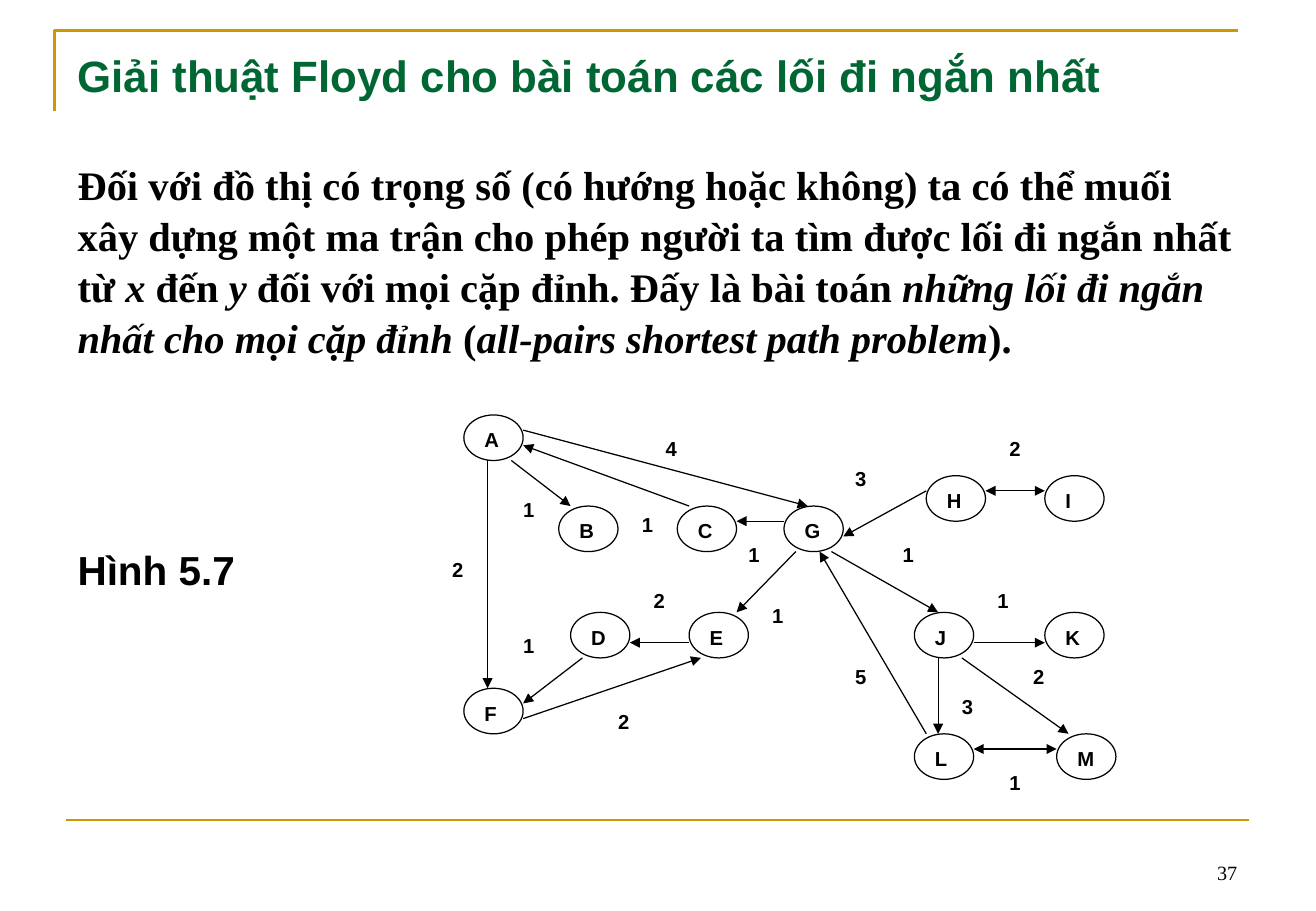
from lxml import etree
from pptx import Presentation
from pptx.dml.color import RGBColor
from pptx.enum.shapes import MSO_CONNECTOR, MSO_SHAPE
from pptx.enum.text import MSO_ANCHOR, PP_ALIGN
from pptx.oxml.ns import qn
from pptx.util import Inches, Pt

OVAL, RECTANGLE = MSO_SHAPE.OVAL, MSO_SHAPE.RECTANGLE
STRAIGHT = MSO_CONNECTOR.STRAIGHT
TOP, BOTTOM = MSO_ANCHOR.TOP, MSO_ANCHOR.BOTTOM
LEFT, RIGHT = PP_ALIGN.LEFT, PP_ALIGN.RIGHT

# Slide grid: 111 columns by 60 rows
WIDTH, HEIGHT = 10.84, 7.5
COLUMNS, ROWS = 111, 60
MARGIN, CONTENT_WIDTH = 5.53, 99.84
GRAPH_LEFT, GRAPH_TOP = 37.13, 27.33
NODE_WIDTH, NODE_HEIGHT = 5, 3

BLACK, WHITE, GOLD, GREEN = "000000", "FFFFFF", "CC9900", "006633"
TITLE = {"name": "Arial", "size": Pt(26), "bold": True, "color": GREEN}
BODY = {"name": "Times New Roman", "size": Pt(24), "bold": True, "color": BLACK}
CAPTION = {**BODY, "name": "Arial"}
LABEL = {**CAPTION, "size": Pt(12)}
NUMBER = {**BODY, "size": Pt(12), "bold": False}

# Text as (words, italic) spans
PROBLEM = [
    ("Đối với đồ thị có trọng số (có hướng hoặc không) ta có thể muối xây dựng "
     "một ma trận cho phép người ta tìm được lối đi ngắn nhất từ ", False),
    ("x", True), (" đến ", False), ("y", True),
    (" đối với mọi cặp đỉnh. Đấy là bài toán ", False),
    ("những lối đi ngắn nhất cho mọi cặp đỉnh", True), (" (", False),
    ("all-pairs shortest path problem", True), (").", False),
]

# Node corners, in cells from the corner of the graph
NODES = {
    "A": (2, 0), "B": (10, 6), "G": (29, 6), "C": (20, 6), "F": (2, 18),
    "D": (11, 13), "E": (21, 13), "L": (40, 21), "M": (52, 21),
    "K": (51, 13), "J": (40, 13), "I": (51, 4), "H": (41, 4),
}
# Edges: start node, offset in it, end node, offset in it, two-way
EDGES = [
    ("A", (2, 3), "F", (2, 0), False), ("A", (4, 3), "B", (1, 0), False),
    ("C", (1, 0), "A", (5, 2), False), ("A", (5, 1), "G", (2, 0), False),
    ("D", (1, 3), "F", (5, 1), False), ("E", (0, 2), "D", (5, 2), False),
    ("F", (5, 2), "E", (1, 3), False), ("G", (1, 3), "E", (4, 0), False),
    ("H", (5, 1), "I", (0, 1), True), ("J", (5, 2), "K", (0, 2), False),
    ("J", (2, 3), "L", (2, 0), False), ("L", (5, 1), "M", (0, 1), True),
    ("J", (4, 3), "M", (1, 0), False), ("G", (0, 1), "C", (5, 1), False),
    ("H", (0, 1), "G", (5, 2), False), ("G", (4, 3), "J", (2, 0), False),
    ("L", (1, 0), "G", (3, 3), False),
]
# Weights: value, column, row, width, height
WEIGHTS = [
    ("2", 47, 1, 3, 3), ("3", 34, 3, 3, 3), ("1", 25, 8, 3, 2),
    ("1", 46, 11, 4, 3), ("1", 27, 12, 4, 2), ("4", 18, 1, 4, 2),
    ("2", 0, 9, 3, 3), ("5", 34, 16, 3, 3), ("3", 43, 18, 3, 2),
    ("2", 49, 16, 3, 2), ("1", 47, 23, 3, 3), ("2", 17, 11, 3, 3),
    ("2", 14, 19, 4, 3), ("1", 6, 14, 3, 3), ("1", 38, 8, 3, 3),
    ("1", 16, 6, 3, 3), ("1", 6, 5, 3, 2),
]


def color(hex_code):
    return RGBColor.from_string(hex_code)


def in_graph(cell, offset=(0, 0)):
    return (GRAPH_LEFT + cell[0] + offset[0], GRAPH_TOP + cell[1] + offset[1])


class SlideBuilder:
    def __init__(self, deck):
        self.page = deck.slides.add_slide(deck.slide_layouts[6])
        self.page.background.fill.solid()
        self.page.background.fill.fore_color.rgb = color(WHITE)

    def point(self, column, row):
        return Inches(WIDTH * column / COLUMNS), Inches(HEIGHT * row / ROWS)

    def outline(self, line, hex_code, width):
        line.color.rgb = color(hex_code)
        line.width = Pt(width)

    def fill_text(self, box, spans, style, anchor=TOP, align=LEFT, spacing=1.0,
                  top_margin=0.05):
        frame = box.text_frame
        settings = {"word_wrap": True, "vertical_anchor": anchor,
                    "margin_left": Inches(0.1), "margin_right": Inches(0.1),
                    "margin_top": Inches(top_margin), "margin_bottom": Inches(0.05)}
        for name, value in settings.items():
            setattr(frame, name, value)
        para = frame.paragraphs[0]
        para.alignment = align
        para.line_spacing = spacing
        for words, italic in spans:
            span = para.add_run()
            span.text = words
            for name, value in {**style, "italic": italic}.items():
                if name == "color":
                    span.font.color.rgb = color(value)
                else:
                    setattr(span.font, name, value)

    def text(self, corner, size, spans, style, **layout):
        box = self.page.shapes.add_textbox(*self.point(*corner), *self.point(*size))
        self.fill_text(box, spans, style, **layout)

    def shape(self, kind, corner, size, label, outlined):
        box = self.page.shapes.add_shape(kind, *self.point(*corner), *self.point(*size))
        box.shadow.inherit = False
        box.fill.solid()
        box.fill.fore_color.rgb = color(WHITE)
        if outlined:
            self.outline(box.line, BLACK, 0.75)
        else:
            box.line.fill.background()
        self.fill_text(box, [(label, False)], LABEL)

    def line(self, start, end, hex_code, width, arrows=()):
        connector = self.page.shapes.add_connector(
            STRAIGHT, *self.point(*start), *self.point(*end))
        self.outline(connector.line, hex_code, width)
        properties = connector._element.spPr
        for arrow in arrows:
            etree.SubElement(properties.find(qn("a:ln")), qn(arrow), type="triangle")
        etree.SubElement(properties, qn("a:effectLst"))

    def open_outline(self, points, hex_code, width):
        first, *others = [self.point(*spot) for spot in points]
        builder = self.page.shapes.build_freeform(*first)
        builder.add_line_segments(others, close=False)
        corner = builder.convert_to_shape()
        corner.shadow.inherit = False
        corner.fill.background()
        self.outline(corner.line, hex_code, width)


def main():
    deck = Presentation()
    deck.slide_width, deck.slide_height = Inches(WIDTH), Inches(HEIGHT)
    slide = SlideBuilder(deck)

    # Frame and page number
    slide.open_outline([(4.61, 7.33), (4.61, 2), (104.44, 2)], GOLD, 1.5)
    slide.line((MARGIN, 54), (MARGIN + CONTENT_WIDTH, 54), GOLD, 1.5)
    slide.text((79.46, 54.67), (25.91, 4), [("37", False)], NUMBER,
               anchor=BOTTOM, align=RIGHT)

    # Title and problem statement
    slide.text((MARGIN, 2.4), (CONTENT_WIDTH, 3.44),
               [("Giải thuật Floyd cho bài toán các lối đi ngắn nhất", False)],
               TITLE, top_margin=0.1)
    slide.text((MARGIN, 10), (CONTENT_WIDTH, 13.6), PROBLEM, BODY, spacing=1.05)

    # Weighted graph
    for name, cell in NODES.items():
        slide.shape(OVAL, in_graph(cell), (NODE_WIDTH, NODE_HEIGHT), name, True)
    for start, leave, end, arrive, two_way in EDGES:
        arrows = ("a:headEnd", "a:tailEnd") if two_way else ("a:tailEnd",)
        slide.line(in_graph(NODES[start], leave), in_graph(NODES[end], arrive),
                   BLACK, 0.75, arrows)
    for value, column, row, width, height in WEIGHTS:
        slide.shape(RECTANGLE, in_graph((column, row)), (width, height), value, False)

    # Figure caption
    slide.text((MARGIN, 35.33), (26.83, 4), [("Hình 5.7", False)], CAPTION,
               spacing=1.05)
    deck.save("out.pptx")


if __name__ == "__main__":
    main()
